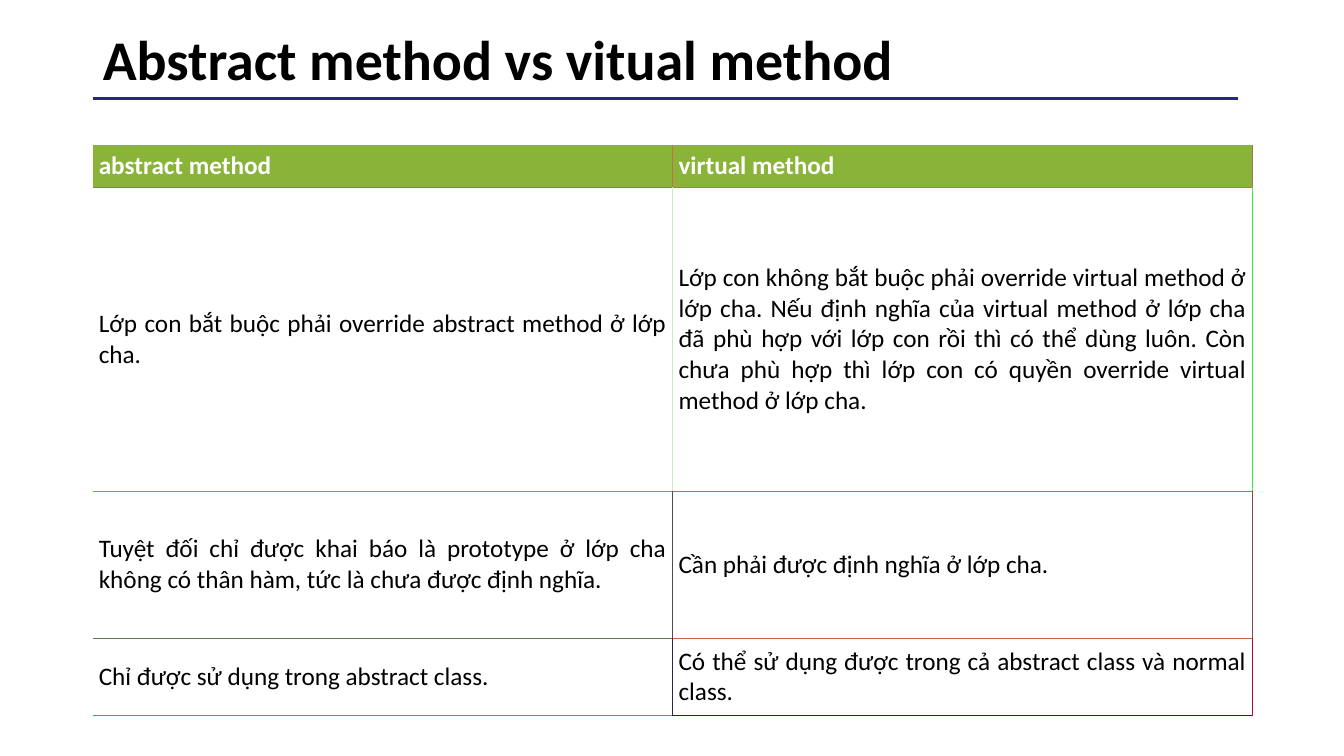
from dataclasses import dataclass

from lxml.etree import SubElement
from pptx import Presentation
from pptx.dml.color import RGBColor
from pptx.enum.shapes import MSO_CONNECTOR
from pptx.enum.text import MSO_ANCHOR, MSO_AUTO_SIZE, PP_ALIGN
from pptx.oxml.ns import qn
from pptx.util import Emu, Pt


@dataclass(frozen=True)
class Theme:
    font: str = "Calibri"
    title_size: int = 40
    table_size: int = 18
    ink: str = "000000"
    paper: str = "FFFFFF"
    header: str = "8AB339"
    rule: str = "272780"
    rule_width: int = 2
    grid_width: float = 0.5


THEME = Theme()
PX = 9144  # 100 px to the inch


def style_text(para, size, color, bold):
    for span in para.runs:
        span.font.name = THEME.font
        span.font.size = Pt(size)
        span.font.bold = bold
        span.font.color.rgb = RGBColor.from_string(color)


def draw_border(cell, side, color):
    """Draw one side (L, R, T or B) of a cell; no colour means no line."""
    line = SubElement(cell._tc.get_or_add_tcPr(), qn(f"a:ln{side}"))
    line.set("w", str(int(Pt(THEME.grid_width))))
    if color:
        SubElement(SubElement(line, qn("a:solidFill")), qn("a:srgbClr")).set("val", color)
    else:
        SubElement(line, qn("a:noFill"))


deck = Presentation()
deck.slide_width, deck.slide_height = Emu(1333 * PX), Emu(750 * PX)
page = deck.slides.add_slide(deck.slide_layouts[5])

# Title and the rule under it
title = page.shapes.title
title.left, title.top, title.width, title.height = (Emu(n * PX) for n in (92, 17, 1150, 89))
frame = title.text_frame
frame.text = "Abstract method vs vitual method"
frame.auto_size = MSO_AUTO_SIZE.NONE
frame.vertical_anchor = MSO_ANCHOR.MIDDLE
para = frame.paragraphs[0]
para.alignment = PP_ALIGN.LEFT
para.line_spacing = 0.9
style_text(para, THEME.title_size, THEME.ink, True)

rule = page.shapes.add_connector(
    MSO_CONNECTOR.STRAIGHT, *(Emu(n * PX) for n in (1228, 98, 92, 98)))
rule.line.color.rgb = RGBColor.from_string(THEME.rule)
rule.line.width = Pt(THEME.rule_width)
SubElement(rule._element.spPr, qn("a:effectLst"))

# Comparison table
rows = [
    ("abstract method", "virtual method"),
    ("Lớp con bắt buộc phải override abstract method ở lớp cha.",
     "Lớp con không bắt buộc phải override virtual method ở lớp cha. "
     "Nếu định nghĩa của virtual method ở lớp cha đã phù hợp với lớp con rồi "
     "thì có thể dùng luôn. Còn chưa phù hợp thì lớp con có quyền override "
     "virtual method ở lớp cha."),
    ("Tuyệt đối chỉ được khai báo là prototype ở lớp cha không có thân hàm, "
     "tức là chưa được định nghĩa.",
     "Cần phải được định nghĩa ở lớp cha."),
    ("Chỉ được sử dụng trong abstract class.",
     "Có thể sử dụng được trong cả abstract class và normal class."),
]
row_heights = [42, 301, 146, 77]
# Each cell owns its right and bottom edge; neighbours share them.
right_edges = [("C07347", "A07547"), ("D0E9B8", "50E847"),
               ("504A4D", "804D4D"), ("30244E", "B0074D")]
bottom_edges = [("A07547", "C07347"), ("40BE47", "10C544"),
                ("60794D", "D0604D"), ("10C544", "500A4D")]

table = page.shapes.add_table(
    len(rows), 2, *(Emu(n * PX) for n in (92, 144, 1150, sum(row_heights)))).table
table.horz_banding = False
for column in table.columns:
    column.width = Emu(575 * PX)

for r, texts in enumerate(rows):
    table.rows[r].height = Emu(row_heights[r] * PX)
    is_header = r == 0
    for c, text in enumerate(texts):
        cell = table.cell(r, c)
        cell.text_frame.text = text
        cell.vertical_anchor = MSO_ANCHOR.MIDDLE
        cell.margin_left = cell.margin_right = Emu(6 * PX)
        cell.margin_top = cell.margin_bottom = Emu(4 * PX)
        para = cell.text_frame.paragraphs[0]
        para.alignment = PP_ALIGN.LEFT if is_header else PP_ALIGN.JUSTIFY
        style_text(para, THEME.table_size, THEME.paper if is_header else THEME.ink, is_header)
        draw_border(cell, "L", right_edges[r][c - 1] if c else None)
        draw_border(cell, "R", right_edges[r][c])
        draw_border(cell, "T", bottom_edges[r - 1][c] if r else None)
        draw_border(cell, "B", bottom_edges[r][c])
        cell.fill.solid()
        cell.fill.fore_color.rgb = RGBColor.from_string(
            THEME.header if is_header else THEME.paper)

deck.save("out.pptx")
